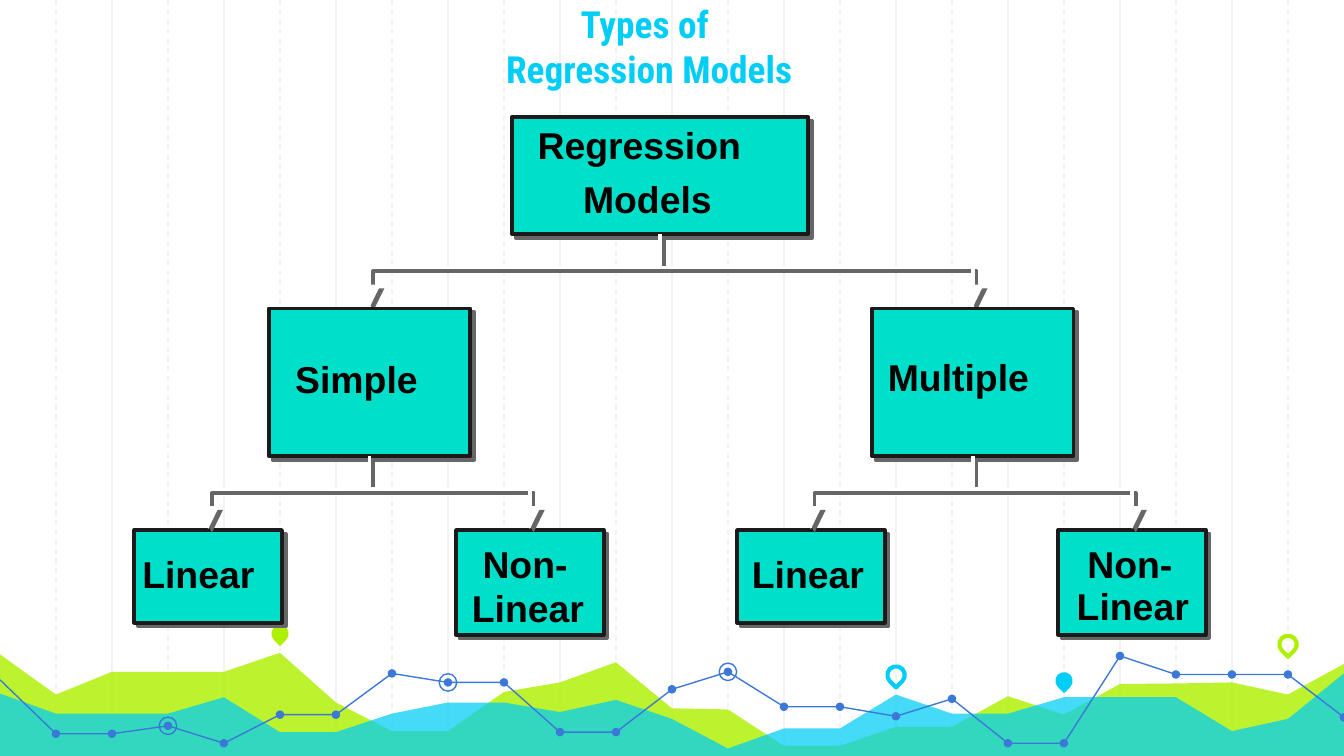
from lxml import etree
from pptx import Presentation
from pptx.dml.color import RGBColor
from pptx.enum.dml import MSO_LINE
from pptx.enum.shapes import MSO_CONNECTOR, MSO_SHAPE
from pptx.enum.text import MSO_ANCHOR, MSO_AUTO_SIZE, PP_ALIGN
from pptx.oxml.ns import qn
from pptx.util import Cm, Pt

STRAIGHT = MSO_CONNECTOR.STRAIGHT
DASH = MSO_LINE.DASH
OVAL, TEARDROP = MSO_SHAPE.OVAL, MSO_SHAPE.TEAR
BOTTOM, CENTER = MSO_ANCHOR.BOTTOM, PP_ALIGN.CENTER
NO_FIT, FIT_SHAPE = MSO_AUTO_SIZE.NONE, MSO_AUTO_SIZE.SHAPE_TO_FIT_TEXT

COLORS = {
    "grid": "F3F3F3", "lime": "AFF000", "sky": "00CEF6", "trend": "3C78D8",
    "node": "00DFCA", "outline": "1A1A1A", "shadow": "666666",
    "link": "FFFFFF", "text": "000000",
}
SLIDE_W, SLIDE_H = 25.4, 14.29
COLUMNS = 24

LIME_HEIGHTS = [.07, .83, .4, .4, .4, .04, .98, 1.52, 1.52, .78, .6, .22, 1.09,
                1.11, 1.8, 1.8, 1.44, 1.44, .86, 1.21, .63, .62, .6, .83, .25]
SKY_HEIGHTS = [.81, 1.19, 1.19, 1.19, .88, 1.54, 1.54, 1.19, .98, .98, 1.16, .93, 1.29,
               1.85, 1.47, 1.47, .83, 1.19, 1.19, .88, .88, .88, 1.52, 1.29, .43]
TREND_HEIGHTS = [.55, 1.57, 1.57, 1.42, 1.75, 1.21, 1.21, .43, .6, .6, 1.54, 1.54, .73,
                 .4, 1.06, 1.06, 1.24, .91, 1.75, 1.75, .1, .45, .45, .45, 1.26]
TREND_SECTIONS = [(0, 11), (11, 20), (20, 24)]
RINGED_COLUMNS = [3, 8, 13]
PINS = [(5, -.32, "lime", True), (16, .46, "sky", False),
        (19, .57, "sky", True), (23, -.12, "lime", False)]

WORD_WIDTHS = {"Regression": 4.39, "Models": 2.97, "Simple": 2.84,
               "Multiple": 3.2, "Linear": 2.64, "Non-": 2.13}
ROOT = ((9.68, 2.21, 5.59, 2.22), [("Regression", .23, -.03), ("Models", 1.09, .99)])
SIMPLE = ((5.08, 5.83, 3.81, 2.79), [("Simple", .25, .77)])
MULTIPLE = ((16.48, 5.83, 3.81, 2.79), [("Multiple", .05, .74)])
SIMPLE_LEAVES = [
    ((2.54, 10.02, 2.79, 1.75), [("Linear", -.1, .28)]),
    ((8.62, 10.02, 2.79, 1.98), [("Non-", .25, .08), ("Linear", .05, .92)]),
]
MULTIPLE_LEAVES = [
    ((13.93, 10.02, 2.79, 1.75), [("Linear", .03, .28)]),
    ((20, 10.02, 2.79, 1.98), [("Non-", .3, .08), ("Linear", .1, .87)]),
]


def rgb(name):
    """Return the named colour."""
    return RGBColor.from_string(COLORS[name])


def paint(shape, fill=None, line=None, width=0.75, alpha=None):
    """Set the fill, outline and opacity of a shape and clear its shadow."""
    shape.shadow.inherit = False
    if fill:
        shape.fill.solid()
        shape.fill.fore_color.rgb = rgb(fill)
    else:
        shape.fill.background()
    if alpha:
        color = shape.element.spPr.find(".//" + qn("a:srgbClr"))
        etree.SubElement(color, qn("a:alpha"), val=str(alpha * 1000))
    if line:
        shape.line.color.rgb = rgb(line)
        shape.line.width = Pt(width)
    else:
        shape.line.fill.background()


def cast_shadow(shape):
    """Give a shape a hard shadow to its lower right."""
    effects = shape.element.spPr.find(qn("a:effectLst"))
    shadow = etree.SubElement(effects, qn("a:outerShdw"), blurRad="0", dist=str(Pt(2.8)),
                              dir="2700000", algn="tl", rotWithShape="0")
    etree.SubElement(shadow, qn("a:srgbClr"), val=COLORS["shadow"])


def add_outline(slide, points, close=False):
    """Add a freeform through points given in centimetres."""
    start, *rest = [(Cm(x), Cm(y)) for x, y in points]
    builder = slide.shapes.build_freeform(*start, scale=1.0)
    builder.add_line_segments(rest, close=close)
    return builder.convert_to_shape()


def add_marker(slide, preset, x, y, size):
    """Add a square preset shape centred on a point."""
    return slide.shapes.add_shape(preset, Cm(x - size / 2), Cm(y - size / 2),
                                  Cm(size), Cm(size))


def add_grid(slide, left, top, width, height):
    """Draw alternating dashed and solid vertical lines across a box."""
    for column in range(1, COLUMNS):
        x = Cm(left + column * width / COLUMNS)
        rule = slide.shapes.add_connector(STRAIGHT, x, Cm(top), x, Cm(top + height))
        rule.line.color.rgb = rgb("grid")
        rule.line.width = Pt(0.75)
        if column % 2:
            rule.line.dash_style = DASH
        etree.SubElement(rule.element.spPr, qn("a:effectLst"))


def add_landscape(slide, left, top, width, height):
    """Draw the area bands, pins and trend line along the foot of the slide."""
    step = width / COLUMNS

    def place(heights):
        return [(left + i * step, top + y) for i, y in enumerate(heights)]

    base = [(left + width, top + height), (left, top + height)]
    for heights, color, alpha in ((LIME_HEIGHTS, "lime", 82), (SKY_HEIGHTS, "sky", 73)):
        paint(add_outline(slide, place(heights) + base, True), color, alpha=alpha)
    for column, y, color, solid in PINS:
        pin = add_marker(slide, TEARDROP, left + column * step, top + y, .33)
        pin.rotation = 135
        if solid:
            paint(pin, color)
        else:
            paint(pin, line=color, width=2.25)
    trend = place(TREND_HEIGHTS)
    for first, last in TREND_SECTIONS:
        paint(add_outline(slide, trend[first:last + 1]), line="trend")
    for x, y in trend[1:]:
        paint(add_marker(slide, OVAL, x, y, .16), "trend")
    for column in RINGED_COLUMNS:
        paint(add_marker(slide, OVAL, *trend[column], .33), line="trend")


def add_title(slide, left, top, width, height):
    """Move the title placeholder into a box and fill its two lines."""
    title = slide.shapes.title
    slide.shapes.element.append(title.element)
    title.left, title.top, title.width, title.height = map(Cm, (left, top, width, height))
    frame = title.text_frame
    frame.auto_size = NO_FIT
    frame.vertical_anchor = BOTTOM
    paragraph = frame.paragraphs[0]
    paragraph.alignment = CENTER
    for number, line in enumerate(("Types of ", "Regression Models")):
        if number:
            paragraph.add_line_break()
        add_run(paragraph, line, "Roboto Condensed", "sky")


def add_run(paragraph, text, font, color):
    """Add a bold 20 point run."""
    run = paragraph.add_run()
    run.text = text
    run.font.name = font
    run.font.size = Pt(20)
    run.font.bold = True
    run.font.color.rgb = rgb(color)


def add_node(slide, box, words):
    """Draw a shadowed box and the words placed from its top left corner."""
    left, top, width, height = box
    right, bottom = left + width, top + height
    node = add_outline(slide, [(left, bottom), (right, bottom), (right, top), (left, top)], True)
    paint(node, "node", "outline", 2)
    cast_shadow(node)
    for word, dx, dy in words:
        label = slide.shapes.add_textbox(Cm(left + dx), Cm(top + dy),
                                         Cm(WORD_WIDTHS[word]), Cm(1.09))
        label.text_frame.word_wrap = False
        label.text_frame.auto_size = FIT_SHAPE
        add_run(label.text_frame.paragraphs[0], word, "Arial", "text")


def add_branch(slide, parent_box, child_box):
    """Link the foot of one box to the head of another with an elbow and arrowhead."""
    start_x, start_y = parent_box[0] + parent_box[2] / 2, parent_box[1] + parent_box[3]
    end_x, end_y = child_box[0] + child_box[2] / 2, child_box[1]
    bar_y = start_y + .63
    elbow = add_outline(slide, [(end_x, end_y - .39), (end_x, bar_y),
                                (start_x, bar_y), (start_x, start_y)])
    paint(elbow, line="link", width=2)
    cast_shadow(elbow)
    head_y = end_y - .45
    arrowhead = add_outline(slide, [(end_x + .21, head_y), (end_x, head_y + .43),
                                    (end_x - .21, head_y)], True)
    paint(arrowhead, "link")
    cast_shadow(arrowhead)


def add_family(slide, parent, children):
    """Draw a parent node between its left and right branches."""
    left_child, right_child = children
    add_branch(slide, parent[0], left_child[0])
    add_node(slide, *parent)
    add_branch(slide, parent[0], right_child[0])


def main():
    """Build and save the slide."""
    deck = Presentation()
    deck.slide_width, deck.slide_height = Cm(SLIDE_W), Cm(SLIDE_H)
    slide = deck.slides.add_slide(deck.slide_layouts[5])
    add_grid(slide, 0, 0, SLIDE_W, 14.35)
    add_landscape(slide, 0, 12.3, SLIDE_W, 2.03)
    add_title(slide, .84, 0, 22.86, 1.85)
    for leaf in SIMPLE_LEAVES + MULTIPLE_LEAVES:
        add_node(slide, *leaf)
    add_family(slide, ROOT, [SIMPLE, MULTIPLE])
    add_family(slide, SIMPLE, SIMPLE_LEAVES)
    add_family(slide, MULTIPLE, MULTIPLE_LEAVES)
    deck.save("out.pptx")


if __name__ == "__main__":
    main()
